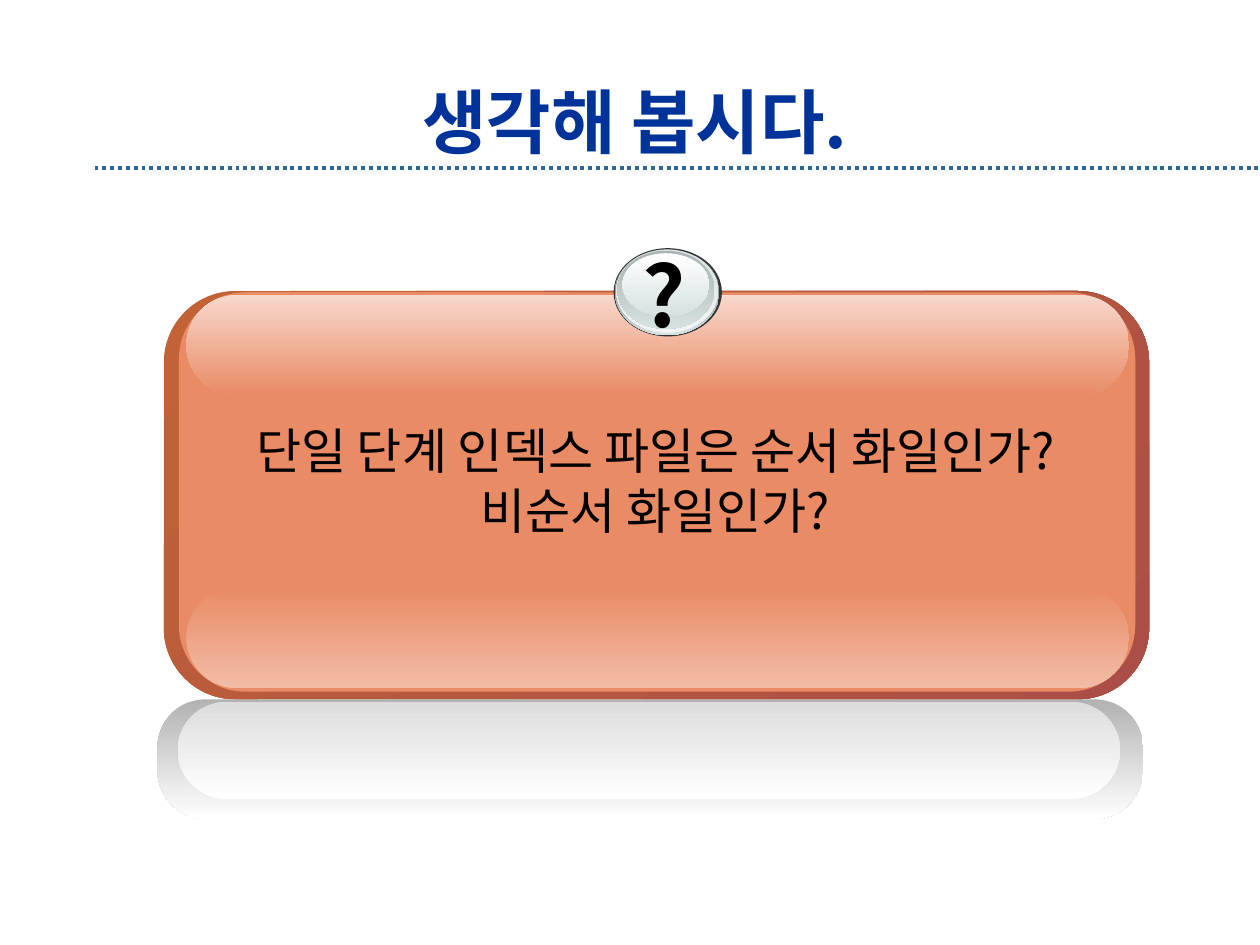
from lxml import etree
from pptx import Presentation
from pptx.dml.color import RGBColor
from pptx.enum import dml, shapes, text
from pptx.oxml import ns
from pptx.util import Inches, Pt

FONT = "Noto Sans CJK KR"
ROUND = shapes.MSO_SHAPE.ROUNDED_RECTANGLE
OVAL = shapes.MSO_SHAPE.OVAL


def color(value):
    return RGBColor.from_string(value)


def paint(shape, colors, angle=90, opacity=(100, 100)):
    shape.shadow.inherit = False
    shape.line.fill.background()
    if len(colors) == 1:
        shape.fill.solid()
        shape.fill.fore_color.rgb = color(colors[0])
        return
    shape.fill.gradient()
    shape.fill.gradient_angle = 360 - angle
    stops = shape.fill.gradient_stops
    elements = shape.element.spPr.iter(ns.qn("a:srgbClr"))
    for stop, value in zip(stops, colors):
        stop.color.rgb = color(value)
    for element, percent in zip(elements, opacity):
        if percent < 100:
            etree.SubElement(element, ns.qn("a:alpha"), val=str(percent * 1000))


def add_shape(parent, kind, place, colors, corner=None, **gradient):
    shape = parent.add_shape(kind, *map(Inches, place))
    if corner is not None:
        shape.adjustments[0] = corner
    paint(shape, colors, **gradient)


def write(box, content, size, ink="000000", bold=False, align=None,
          anchor=text.MSO_ANCHOR.TOP, wrap=True, spacing=None):
    frame = box.text_frame
    frame.word_wrap = wrap
    frame.vertical_anchor = anchor
    frame.text = content
    for para in frame.paragraphs:
        para.alignment = align
        para.line_spacing = spacing
        for span in para.runs:
            span.font.name = FONT
            span.font.size = Pt(size)
            span.font.bold = bold
            span.font.color.rgb = color(ink)
            etree.SubElement(span.font._element, ns.qn("a:ea"), typeface=FONT)


def add_text(parent, place, content, size, **style):
    box = parent.add_textbox(*map(Inches, place))
    write(box, content, size, **style)


def add_rule(page):
    rule = page.shapes.add_connector(
        shapes.MSO_CONNECTOR.STRAIGHT,
        Inches(0.75), Inches(1.33), Inches(10), Inches(1.33))
    rule.line.color.rgb = color("336699")
    rule.line.width = Pt(2.25)
    rule.line.dash_style = dml.MSO_LINE.ROUND_DOT
    etree.SubElement(rule.element.spPr, ns.qn("a:effectLst"))


def add_title(page, content):
    title = page.shapes.title
    title.left, title.top = Inches(0.75), Inches(0.67)
    title.width, title.height = Inches(8.58), Inches(0.58)
    write(title, content, 40, ink="003399", bold=True,
          align=text.PP_ALIGN.CENTER, anchor=text.MSO_ANCHOR.MIDDLE)


def add_panel(page):
    panel = page.shapes.add_group_shape().shapes
    add_shape(panel, ROUND, (1.3, 2.31, 7.82, 3.24), ("C16237", "AB4E47"), 0.175, angle=45)
    add_shape(panel, ROUND, (1.42, 2.32, 7.59, 3.17), ("E98B65",), 0.167)
    add_shape(panel, ROUND, (1.48, 4.66, 7.48, 0.8), ("E98B65", "F2BCA6"), 0.5)
    add_shape(panel, ROUND, (1.48, 2.34, 7.48, 0.8), ("F8D8CC", "E98B65"), 0.5)
    add_text(panel, (1.48, 3.29, 7.44, 1.04),
             "단일 단계 인덱스 파일은 순서 화일인가?\n비순서 화일인가?", 28,
             align=text.PP_ALIGN.CENTER, spacing=Pt(33.75))


def add_badge(page):
    badge = page.shapes.add_group_shape().shapes
    add_shape(badge, OVAL, (4.87, 1.97, 0.86, 0.7), ("333333",))
    add_shape(badge, OVAL, (4.88, 1.98, 0.83, 0.68), ("636869", "D6E1E2"))
    add_shape(badge, OVAL, (4.89, 1.98, 0.81, 0.66), ("D6E1E2", "F1F5F5"), opacity=(0, 100))
    add_shape(badge, OVAL, (4.9, 1.99, 0.77, 0.62), ("AAB2B3", "D6E1E2"), opacity=(100, 48))
    add_shape(badge, OVAL, (4.94, 2.01, 0.69, 0.5), ("FFFFFF", "D6E1E2"), opacity=(100, 38))


def add_reflection(page):
    add_shape(page.shapes, ROUND, (1.25, 5.55, 7.82, 0.95), ("B2B2B2", "FFFFFF"), 0.404)
    add_shape(page.shapes, ROUND, (1.41, 5.57, 7.48, 0.77), ("DDDDDD", "FFFFFF"), 0.5)


def main():
    deck = Presentation()
    deck.slide_width, deck.slide_height = Inches(10), Inches(7.5)
    page = deck.slides.add_slide(deck.slide_layouts[5])
    add_rule(page)
    add_panel(page)
    add_title(page, "생각해 봅시다.")
    add_badge(page)
    add_reflection(page)
    add_text(page.shapes, (5, 1.88, 0.58, 0.91), "?", 48, bold=True, wrap=False,
             spacing=Pt(58))
    deck.save("out.pptx")


if __name__ == "__main__":
    main()
